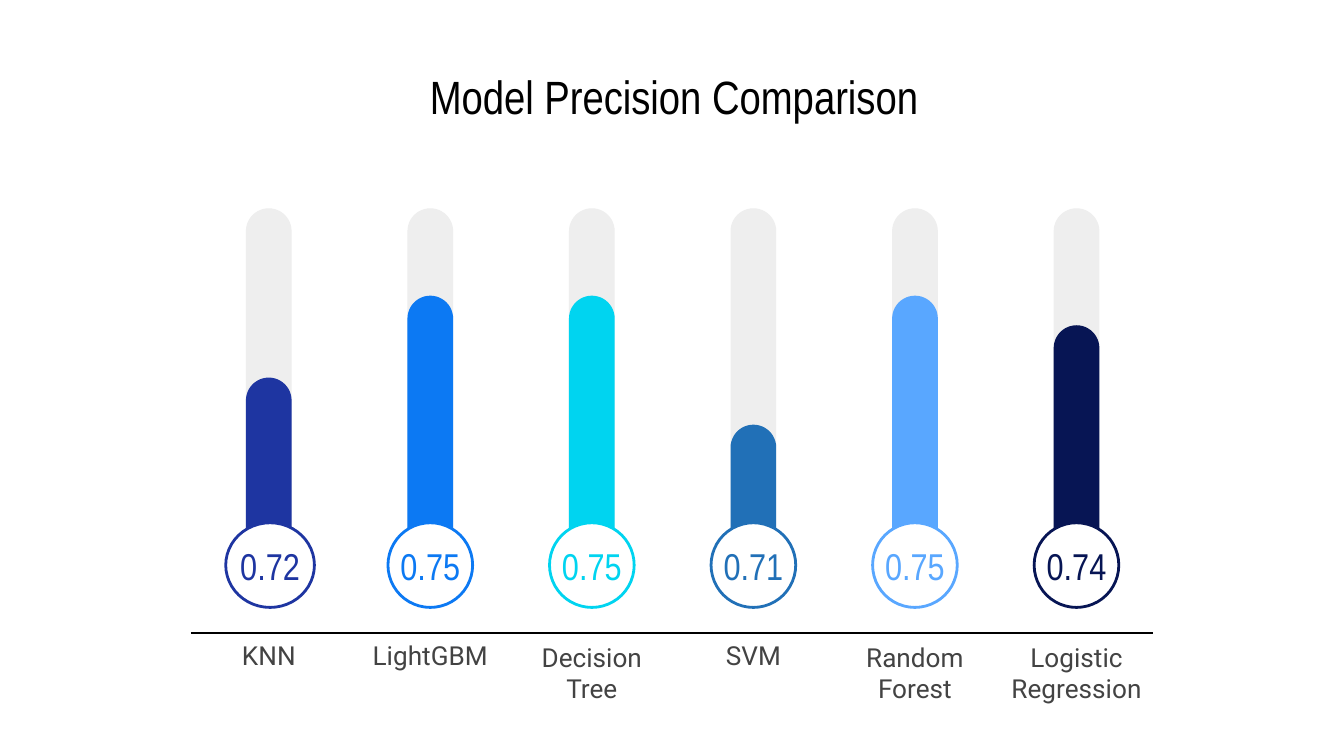
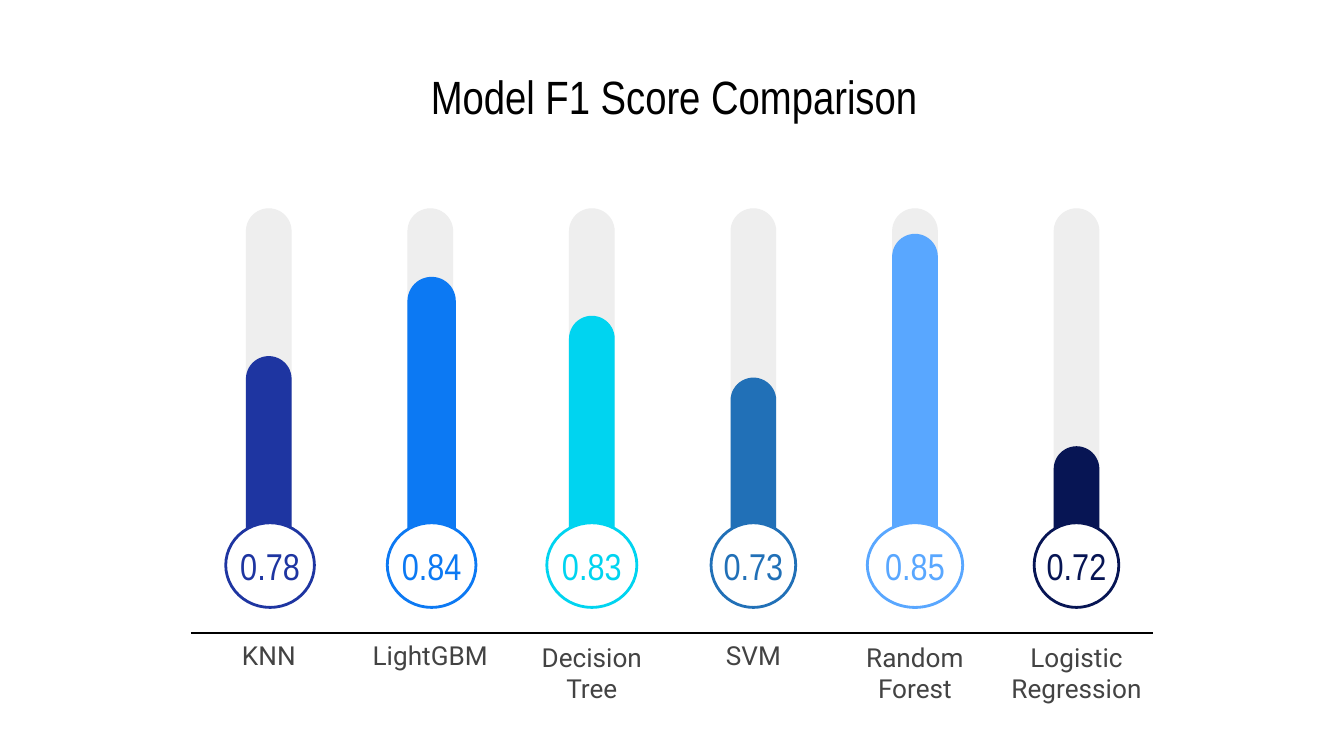
import dataclasses

import pptx
import pptx.dml.color
import pptx.enum.shapes
import pptx.enum.text
import pptx.oxml.ns
import pptx.util
from lxml import etree

Inches = pptx.util.Inches
Shapes = pptx.enum.shapes.MSO_SHAPE


@dataclasses.dataclass(frozen=True)
class Theme:
    background: str = "FFFFFF"
    ink: str = "000000"
    label: str = "434343"
    tube: str = "EEEEEE"
    display_font: str = "Arial Narrow"
    label_font: str = "Roboto"
    title_size: int = 25
    score_size: int = 20
    label_size: int = 14


@dataclasses.dataclass(frozen=True)
class Model:
    name: str
    color: str
    label_width: float
    label_top: float = 4.71


@dataclasses.dataclass(frozen=True)
class Score:
    value: str
    level: float
    bulb_width: float = 0.63
    bulb_shift: float = 0
    level_width: float = 0.34


THEME = Theme()

FIRST_CENTER, LAST_CENTER = 2.0, 8.01
TUBE_TOP, TUBE_BOTTOM, TUBE_WIDTH = 1.55, 4.31, 0.34
BULB_TOP, BULB_HEIGHT = 3.89, 0.63
BASE_LEFT, BASE_RIGHT, BASE_Y = 1.42, 8.58, 4.71
LABEL_HEIGHT = 0.33
TWO_LINE_TOP = 4.84

MODELS = [
    Model("KNN", "1E35A1", 0.69),
    Model("LightGBM", "0C79F3", 1.06),
    Model("Decision Tree", "00D4F0", 0.97, TWO_LINE_TOP),
    Model("SVM", "2170B7", 0.69),
    Model("Random Forest", "59A7FF", 0.97, TWO_LINE_TOP),
    Model("Logistic Regression", "071554", 1.25, TWO_LINE_TOP),
]

COMPARISONS = {
    "Model Precision Comparison": [
        Score("0.72", 1.5, bulb_width=0.66, bulb_shift=0.01),
        Score("0.75", 2.11),
        Score("0.75", 2.11),
        Score("0.71", 1.15),
        Score("0.75", 2.11),
        Score("0.74", 1.89),
    ],
    "Model F1 Score Comparison": [
        Score("0.78", 1.66, bulb_width=0.66, bulb_shift=0.01),
        Score("0.84", 2.25, bulb_width=0.66, bulb_shift=0.01, level_width=0.36),
        Score("0.83", 1.96, bulb_width=0.67),
        Score("0.73", 1.5),
        Score("0.85", 2.57, bulb_width=0.71),
        Score("0.72", 0.99),
    ],
}


def rgb(color):
    return pptx.dml.color.RGBColor.from_string(color)


def write(shape, text, *, size, font, color, side_inset=0.1):
    frame = shape.text_frame
    frame.word_wrap = True
    frame.vertical_anchor = pptx.enum.text.MSO_ANCHOR.MIDDLE
    frame.margin_left = frame.margin_right = Inches(side_inset)
    frame.margin_top = frame.margin_bottom = Inches(0.1)
    paragraph = frame.paragraphs[0]
    paragraph.alignment = pptx.enum.text.PP_ALIGN.CENTER
    run = paragraph.add_run()
    run.text = text
    run.font.size = pptx.util.Pt(size)
    run.font.name = font
    run.font.color.rgb = rgb(color)


def add_text(slide, left, top, width, height, text, **text_format):
    box = slide.shapes.add_textbox(*map(Inches, (left, top, width, height)))
    write(box, text, **text_format)


def add_filled(shapes, kind, left, top, width, height, fill, outline=None):
    shape = shapes.add_shape(kind, *map(Inches, (left, top, width, height)))
    shape.shadow.inherit = False
    shape.fill.solid()
    shape.fill.fore_color.rgb = rgb(fill)
    if outline:
        shape.line.color.rgb = rgb(outline)
        shape.line.width = pptx.util.Pt(1.5)
    else:
        shape.line.fill.background()
    return shape


def add_column(shapes, left, width, height, color):
    column = add_filled(shapes, Shapes.ROUNDED_RECTANGLE,
                        left, TUBE_BOTTOM - height, width, height, color)
    column.adjustments[0] = 0.5


def add_thermometer(slide, center, model, score):
    left = center - TUBE_WIDTH / 2
    gauge = slide.shapes.add_group_shape().shapes
    add_column(gauge, left, TUBE_WIDTH, TUBE_BOTTOM - TUBE_TOP, THEME.tube)
    add_column(gauge, left, score.level_width, score.level, model.color)

    bulb_left = center + score.bulb_shift - score.bulb_width / 2
    bulb = add_filled(slide.shapes, Shapes.OVAL, bulb_left, BULB_TOP,
                      score.bulb_width, BULB_HEIGHT, THEME.background, model.color)
    write(bulb, score.value, size=THEME.score_size, font=THEME.display_font,
          color=model.color, side_inset=0)

    add_text(slide, center - model.label_width / 2, model.label_top,
             model.label_width, LABEL_HEIGHT, model.name,
             size=THEME.label_size, font=THEME.label_font, color=THEME.label)


def add_baseline(slide):
    baseline = slide.shapes.add_connector(
        pptx.enum.shapes.MSO_CONNECTOR.STRAIGHT,
        *map(Inches, (BASE_LEFT, BASE_Y, BASE_RIGHT, BASE_Y)))
    baseline.line.color.rgb = rgb(THEME.ink)
    baseline.line.width = pptx.util.Pt(0.75)
    etree.SubElement(baseline._element.spPr, pptx.oxml.ns.qn("a:effectLst"))


def add_comparison(deck, title, scores):
    slide = deck.slides.add_slide(deck.slide_layouts[6])
    slide.background.fill.solid()
    slide.background.fill.fore_color.rgb = rgb(THEME.background)
    add_text(slide, 0.53, 0.45, 8.97, 0.53, title, size=THEME.title_size,
             font=THEME.display_font, color=THEME.ink)
    pitch = (LAST_CENTER - FIRST_CENTER) / (len(MODELS) - 1)
    for index, (model, score) in enumerate(zip(MODELS, scores)):
        add_thermometer(slide, FIRST_CENTER + index * pitch, model, score)
    add_baseline(slide)


def main():
    deck = pptx.Presentation()
    deck.slide_width = Inches(10)
    deck.slide_height = Inches(10 * 9 / 16)
    for title, scores in COMPARISONS.items():
        add_comparison(deck, title, scores)
    deck.save("out.pptx")


if __name__ == "__main__":
    main()
